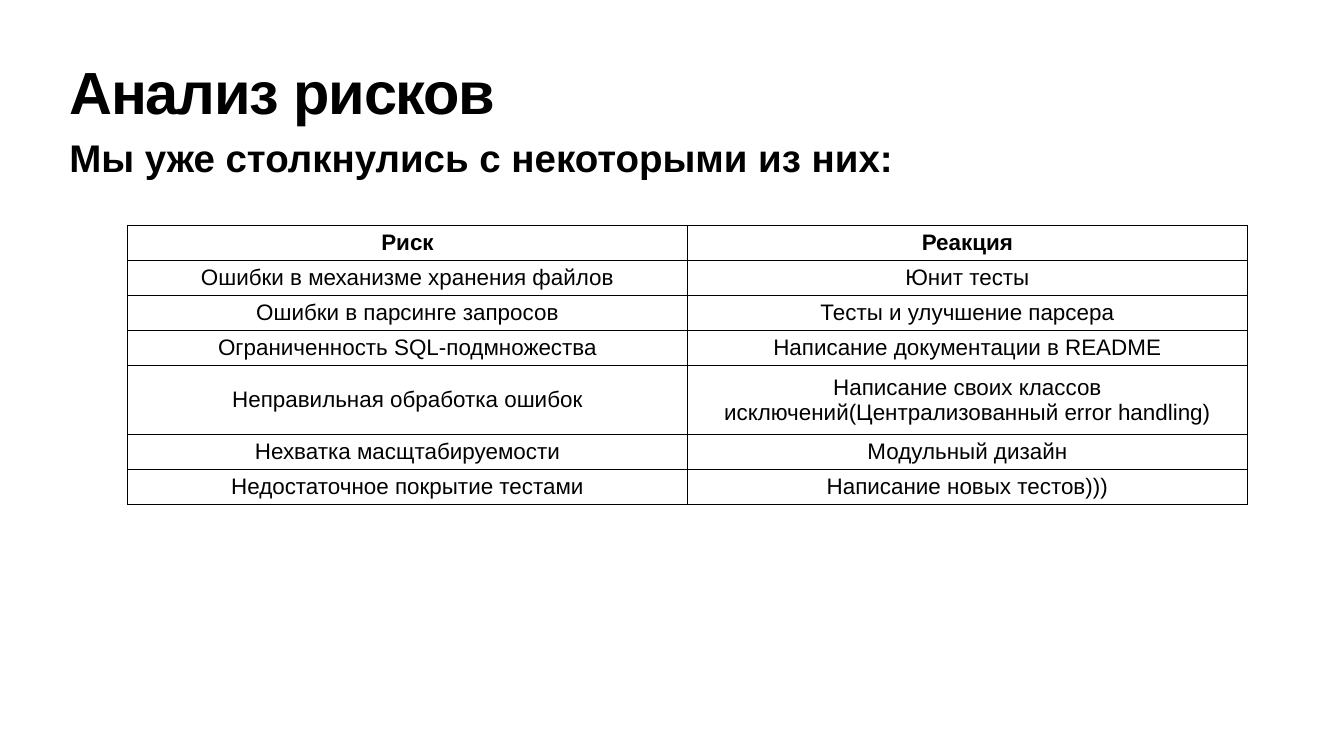
import pptx
import pptx.dml.color
import pptx.enum.text
import pptx.oxml
import pptx.oxml.ns
import pptx.util
from dataclasses import dataclass

Cm, Pt = pptx.util.Cm, pptx.util.Pt
ANCHOR = pptx.enum.text.MSO_ANCHOR
ALIGN = pptx.enum.text.PP_ALIGN

# Content
TITLE = "Анализ рисков"
SUBTITLE = "Мы уже столкнулись с некоторыми из них:"
RISKS = [
    ("Риск", "Реакция"),
    ("Ошибки в механизме хранения файлов", "Юнит тесты"),
    ("Ошибки в парсинге запросов", "Тесты и улучшение парсера"),
    ("Ограниченность SQL-подмножества", "Написание документации в README"),
    ("Неправильная обработка ошибок",
     "Написание своих классов исключений(Централизованный error handling)"),
    ("Нехватка масщтабируемости", "Модульный дизайн"),
    ("Недостаточное покрытие тестами", "Написание новых тестов)))"),
]
TWO_LINE_ROW = 4


@dataclass(frozen=True)
class Theme:
    font: str = "Arial"
    ink: str = "000000"
    title_size: int = 85
    subtitle_size: int = 55
    table_size: int = 32
    border_width: int = 1
    title_tracking: int = -170  # hundredths of a point


THEME = Theme()
INSET = Cm(0.15)


def format_text(text_frame, size, bold):
    for paragraph in text_frame.paragraphs:
        for run in paragraph.runs:
            run.font.name = THEME.font
            run.font.size = Pt(size)
            run.font.bold = bold
            run.font.color.rgb = pptx.dml.color.RGBColor.from_string(THEME.ink)


def set_insets(target, inset):
    target.margin_left = target.margin_right = inset
    target.margin_top = target.margin_bottom = inset


def add_heading(slide, text, top, height, size, anchor):
    box = slide.shapes.add_textbox(Cm(3.35), top, Cm(61.04), height)
    text_frame = box.text_frame
    text_frame.word_wrap = True
    text_frame.vertical_anchor = anchor
    set_insets(text_frame, INSET)
    text_frame.text = text
    format_text(text_frame, size, True)
    return text_frame


def add_borders(cell):
    properties = cell._tc.get_or_add_tcPr()
    for position, side in enumerate(("lnL", "lnR", "lnT", "lnB")):
        line = pptx.oxml.parse_xml(
            f'<a:{side} {pptx.oxml.ns.nsdecls("a")} w="{Pt(THEME.border_width)}">'
            f'<a:solidFill><a:srgbClr val="{THEME.ink}"/></a:solidFill></a:{side}>')
        properties.insert(position, line)


def add_risk_table(slide):
    row_height, column_width = Cm(1.76), Cm(28.22)
    heights = [row_height * (2 if index == TWO_LINE_ROW else 1)
               for index in range(len(RISKS))]
    columns = len(RISKS[0])
    table = slide.shapes.add_table(
        len(RISKS), columns, Cm(6.43), Cm(11.35),
        column_width * columns, sum(heights)).table
    table.horz_banding = False
    for column in table.columns:
        column.width = column_width
    for row_index, values in enumerate(RISKS):
        table.rows[row_index].height = heights[row_index]
        for column_index, value in enumerate(values):
            cell = table.cell(row_index, column_index)
            cell.text = value
            cell.vertical_anchor = ANCHOR.MIDDLE
            set_insets(cell, INSET)
            cell.fill.background()
            cell.text_frame.paragraphs[0].alignment = ALIGN.CENTER
            format_text(cell.text_frame, THEME.table_size, row_index == 0)
            add_borders(cell)


def main():
    presentation = pptx.Presentation()
    presentation.slide_width = Cm(67.74)
    presentation.slide_height = Cm(38.1)
    slide = presentation.slides.add_slide(presentation.slide_layouts[6])

    # Title, tightly spaced
    title = add_heading(slide, TITLE, Cm(3), Cm(3.99), THEME.title_size, ANCHOR.TOP)
    title.margin_top = Cm(0.45)
    title.paragraphs[0].line_spacing = 0.8
    for run in title.paragraphs[0].runs:
        run.font._element.set("spc", str(THEME.title_tracking))

    # Subtitle
    add_heading(slide, SUBTITLE, Cm(6.6), Cm(2.59), THEME.subtitle_size, ANCHOR.MIDDLE)

    # Risks and reactions
    add_risk_table(slide)
    presentation.save("out.pptx")


if __name__ == "__main__":
    main()
